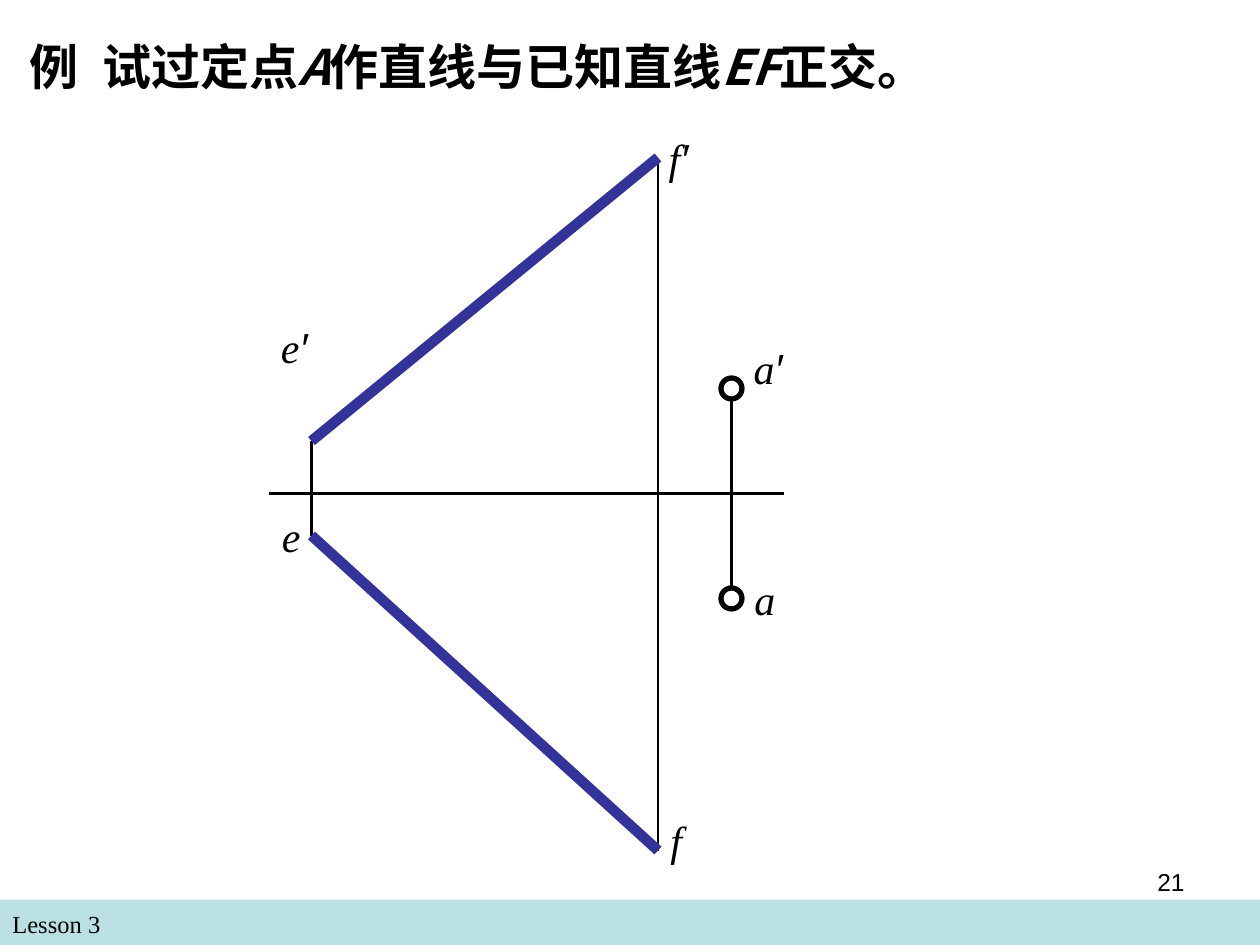
from collections import namedtuple
from dataclasses import dataclass

from lxml import etree
from pptx import Presentation
from pptx.dml.color import RGBColor
from pptx.enum.shapes import MSO_CONNECTOR as Connector, MSO_SHAPE as Shape
from pptx.enum.text import PP_ALIGN as Align
from pptx.oxml.ns import qn
from pptx.util import Pt

Box = namedtuple("Box", "left top width height")


@dataclass(frozen=True)
class Theme:
    ink: RGBColor = RGBColor(0, 0, 0)
    paper: RGBColor = RGBColor(255, 255, 255)
    band: RGBColor = RGBColor(0xBB, 0xE0, 0xE3)
    segment: RGBColor = RGBColor(0x33, 0x33, 0x99)
    serif: str = "Times New Roman"
    sans: str = "Arial"
    chinese: str = "Noto Sans CJK SC"
    title: int = 28
    label: int = 24
    small: int = 14


THEME = Theme()


def points(values):
    return [Pt(value) for value in values]


def add_text(shapes, box, runs, size, wrap=True, align=Align.LEFT, tab=None):
    frame = shapes.add_textbox(*points(box)).text_frame
    frame.word_wrap = wrap
    para = frame.paragraphs[0]
    para.alignment = align
    if tab:
        tabs = etree.SubElement(para._p.get_or_add_pPr(), qn("a:tabLst"))
        etree.SubElement(tabs, qn("a:tab"), pos=str(Pt(tab)), algn="l")
    for text, style in runs:
        span = para.add_run()
        span.text = text
        for name, value in {"size": Pt(size), **style}.items():
            setattr(span.font, name, value)
        span.font.color.rgb = THEME.ink
        if style["name"] == THEME.chinese:
            etree.SubElement(span._r.get_or_add_rPr(), qn("a:ea"), typeface=THEME.chinese)


def add_line(shapes, start, end, color, width):
    line = shapes.add_connector(Connector.STRAIGHT, *points((*start, *end)))
    line.line.color.rgb = color
    line.line.width = Pt(width)
    etree.SubElement(line._element.spPr, qn("a:effectLst"))


def add_solid(shapes, kind, box, fill, outline=None):
    shape = shapes.add_shape(kind, *points(box))
    shape.shadow.inherit = False
    shape.fill.solid()
    shape.fill.fore_color.rgb = fill
    if outline:
        shape.line.color.rgb = THEME.ink
        shape.line.width = Pt(outline)
    else:
        shape.line.fill.background()


def add_title(page, box):
    plain = {"name": THEME.chinese, "bold": True, "italic": False}
    slanted = {**plain, "italic": True}
    runs = [("例\t试过定点", plain), ("A", slanted), ("作直线与已知直线", plain),
            ("EF", slanted), ("正交。", plain)]
    add_text(page.shapes, box, runs, THEME.title, tab=42)


def add_projection(page, box):
    shapes = page.shapes.add_group_shape().shapes

    def place(x, y):
        return box.left + x, box.top + y

    places = {"e′": place(24, 180), "e": place(24, 234),
              "f′": place(222, 18), "f": place(222, 414),
              "a′": place(264, 150), "a": place(264, 270)}
    label_boxes = {"e′": (-0.5, 108, 33), "e": (0, 216, 25),
                   "f′": (221, 0, 29), "f": (222, 390, 21),
                   "a′": (269.5, 120, 34.5), "a": (270, 252, 26)}
    for name in "fea":
        add_line(shapes, places[name + "′"], places[name], THEME.ink, 1.5)
    add_line(shapes, place(0, 210), place(box.width, 210), THEME.ink, 1.5)
    for mark in ("′", ""):
        add_line(shapes, places["e" + mark], places["f" + mark], THEME.segment, 6)
    radius = 6
    for name in ("a", "a′"):
        x, y = places[name]
        circle = Box(x - radius, y - radius, 2 * radius, 2 * radius)
        add_solid(shapes, Shape.OVAL, circle, THEME.paper, 3)
    for name, (x, y, width) in label_boxes.items():
        runs = [(char, {"name": THEME.sans if char == "′" else THEME.serif, "italic": True})
                for char in name]
        add_text(shapes, Box(*place(x, y), width, 36), runs, THEME.label, wrap=False)


def add_footer(page, box):
    add_solid(page.shapes, Shape.RECTANGLE, box, THEME.band)
    add_text(page.shapes, Box(box.left, box.top + 2, 348, 24),
             [("Lesson 3", {"name": THEME.serif})], THEME.small)
    add_text(page.shapes, Box(box.left + 516, box.top - 22, 168, 37),
             [("21", {"name": THEME.sans})], THEME.small, align=Align.RIGHT)


def main():
    deck = Presentation()
    deck.slide_width, deck.slide_height = Pt(720), Pt(540)
    page = deck.slides.add_slide(deck.slide_layouts[6])
    page.background.fill.solid()
    page.background.fill.fore_color.rgb = THEME.paper
    add_footer(page, Box(0, 514, 720, 26))
    add_projection(page, Box(154, 72, 294, 432))
    add_title(page, Box(9.5, 17.5, 558, 41))
    deck.save("out.pptx")


if __name__ == "__main__":
    main()
